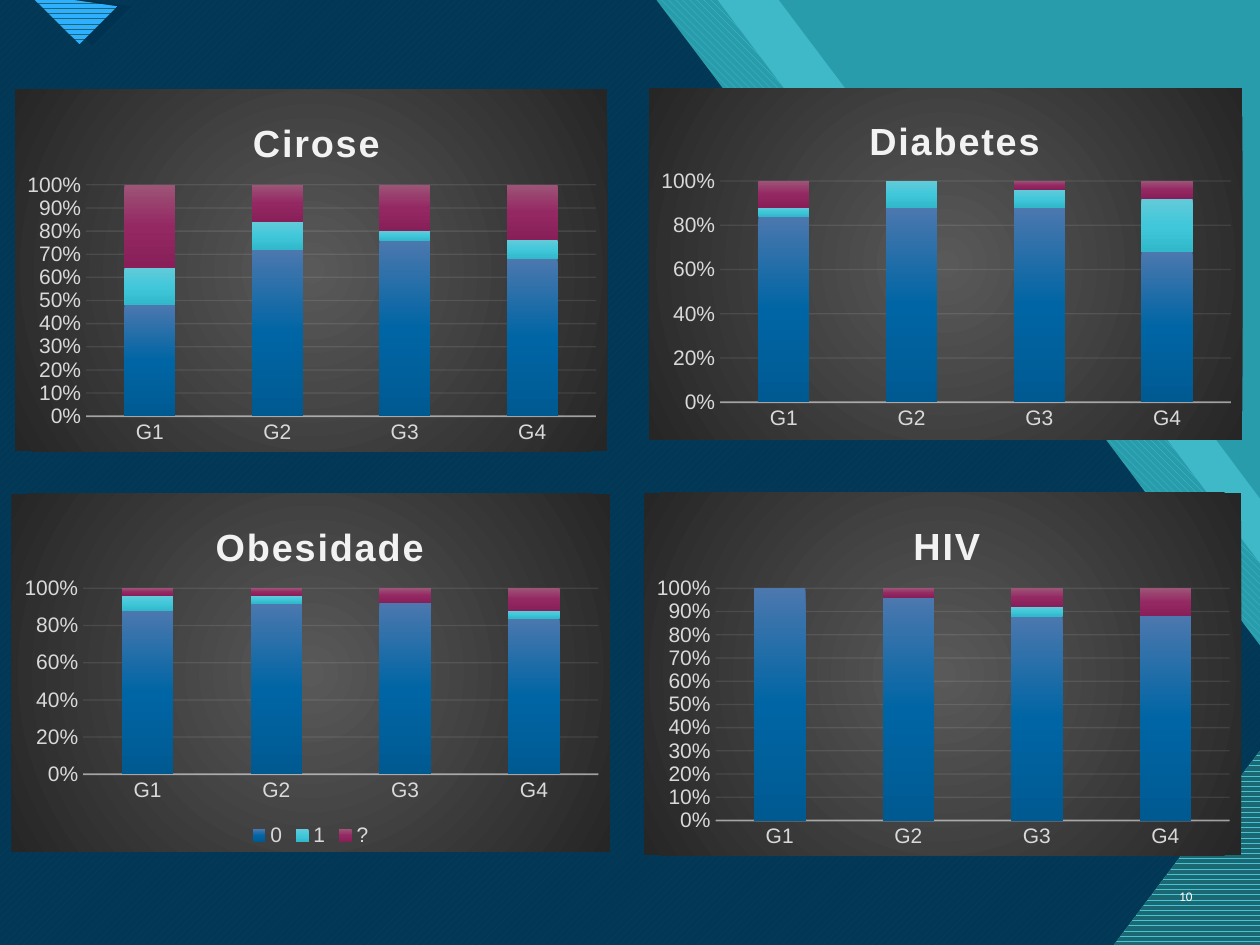
from pptx import Presentation
from pptx.chart.data import CategoryChartData
from pptx.dml.color import RGBColor
from pptx.enum.chart import XL_CHART_TYPE as ChartType, XL_LEGEND_POSITION as LegendPosition
from pptx.enum.chart import XL_TICK_MARK as Tick
from pptx.enum.dml import MSO_PATTERN as Pattern
from pptx.enum.text import MSO_ANCHOR as Anchor, PP_ALIGN as Align
from pptx.oxml import parse_xml
from pptx.oxml.ns import nsdecls
from pptx.util import Pt

# Content
GROUPS = ["G1", "G2", "G3", "G4"]
DEFAULT_NAMES = ["Series 1", "Series 2", "Series 3"]
CHARTS = [
    dict(title="Cirose", box=(8.64, 51.12, 338.4, 206.64), title_left=0.39, plot_height=0.64,
         names=DEFAULT_NAMES, legend=False,
         values=[(48, 72, 76, 68), (16, 12, 4, 8), (36, 16, 20, 24)]),
    dict(title="Diabetes", box=(370.8, 50.4, 339.12, 200.88), title_left=0.36, plot_height=0.63,
         names=DEFAULT_NAMES, legend=False,
         values=[(84, 88, 88, 68), (4, 12, 8, 24), (12, None, 4, 8)]),
    dict(title="Obesidade", box=(6.48, 282.24, 342, 204.48), title_left=0.33, plot_height=0.52,
         names=["0", "1", "?"], legend=True,
         values=[(88, 92, 92, 84), (8, 4, None, 4), (4, 4, 8, 12)]),
    dict(title="HIV", box=(367.92, 281.52, 341.28, 207.36), title_left=0.44, plot_height=0.64,
         names=DEFAULT_NAMES, legend=False,
         values=[(100, 96, 88, 88), (None, None, 4, None), (None, 4, 8, 12)]),
]
PAGE_NUMBER = "10"

THEME = dict(
    teal="299CAB", aqua="47C3D3", deep="1B6872", navy="003352", sky="2FAFFF", white="FFFFFF",
    title="F2F2F2", label="D9D9D9", line="F2F2F2",
    panel=["595959", "262626"],
    bars=[["4B78AE", "0065A4", "005A92"],
          ["63CAD9", "40C8DA", "31B8CA"],
          ["9D5477", "942863", "881F59"]],
    chart_font="Arial", page_font="Calibri",
    title_size=21.6, label_size=12, page_size=7.5,
)

WIDTH, HEIGHT = 720, 540
NOTCH_Y = 214
PLOT_LEFT, PLOT_TOP, PLOT_WIDTH, TITLE_TOP = 0.12, 0.264, 0.861, 0.061


def color(name):
    return RGBColor.from_string(THEME[name])


def set_alpha(root, query, percent):
    for node in root.xpath(query):
        node.append(parse_xml(f'<a:alpha {nsdecls("a")} val="{percent * 1000}"/>'))


def gradient(colors, direction):
    last = len(colors) - 1
    stops = "".join(f'<a:gs pos="{100000 * i // last}"><a:srgbClr val="{c}"/></a:gs>'
                    for i, c in enumerate(colors))
    return f'<a:gradFill {nsdecls("a")}><a:gsLst>{stops}</a:gsLst>{direction}</a:gradFill>'


def place(parent, index, target="", **fractions):
    """Give a chart part a fixed position, as fractions of the chart."""
    for old in parent.xpath("./c:layout"):
        parent.remove(old)
    modes = '<c:xMode val="edge"/><c:yMode val="edge"/>'
    values = "".join(f'<c:{key} val="{value}"/>' for key, value in fractions.items())
    parent.insert(index, parse_xml(
        f'<c:layout {nsdecls("c")}><c:manualLayout>{target}{modes}{values}'
        '</c:manualLayout></c:layout>'))


def polygon(page, points, fore, back=None, pattern=None, alpha=None):
    builder = page.shapes.build_freeform(Pt(points[0][0]), Pt(points[0][1]))
    builder.add_line_segments([(Pt(x), Pt(y)) for x, y in points[1:]], close=True)
    shape = builder.convert_to_shape()
    shape.shadow.inherit = False
    shape.line.fill.background()
    if pattern is None:
        shape.fill.solid()
        shape.fill.fore_color.rgb = color(fore)
    else:
        shape.fill.patterned()
        shape.fill.pattern = pattern
        shape.fill.fore_color.rgb = color(fore)
        shape.fill.back_color.rgb = color(back)
    if alpha:
        set_alpha(shape.element, "./p:spPr/a:solidFill/a:srgbClr", alpha)


def stepped(top_x, notch_x, right_y):
    """Left-hand area whose slanted edge steps right at the notch."""
    return [(0, 0), (top_x, 0), (top_x + 161, NOTCH_Y), (notch_x, NOTCH_Y),
            (WIDTH, right_y), (WIDTH, HEIGHT), (0, HEIGHT)]


def add_background(page):
    page.background.fill.solid()
    page.background.fill.fore_color.rgb = color("teal")
    dark_area = stepped(375, 604, 369)
    polygon(page, stepped(445, 667, 285), "aqua", alpha=74)
    polygon(page, stepped(410, 639, 322), "aqua", "teal", Pattern.WIDE_DOWNWARD_DIAGONAL)
    polygon(page, dark_area, "aqua", "deep", Pattern.WIDE_UPWARD_DIAGONAL)
    polygon(page, dark_area, "navy", alpha=90)
    # Corner marks
    polygon(page, [(26, 0), (52.5, 26), (75, 3.6), (48.6, 0)], "navy")
    polygon(page, [(20, 0), (45.4, 25.2), (67, 3.6), (42, 0)], "sky", "deep",
            Pattern.DARK_HORIZONTAL)
    polygon(page, [(636.5, HEIGHT), (WIDTH, HEIGHT), (WIDTH, 429)], "deep", "aqua",
            Pattern.DARK_HORIZONTAL)


def add_group_chart(page, info):
    data = CategoryChartData()
    data.categories = GROUPS
    for name, values in zip(info["names"], info["values"]):
        data.add_series(name, values)
    frame = page.shapes.add_chart(ChartType.COLUMN_STACKED_100, *map(Pt, info["box"]), data)
    chart = frame.chart
    root = chart.element
    chart.font.name = THEME["chart_font"]
    chart.font.size = Pt(THEME["label_size"])
    chart.font.color.rgb = color("label")

    # Title
    chart.has_title = True
    para = chart.chart_title.text_frame.paragraphs[0]
    para.text = info["title"]
    font = para.runs[0].font
    font.name, font.size, font.bold = THEME["chart_font"], Pt(THEME["title_size"]), True
    font.color.rgb = color("title")
    root.xpath("//c:title//a:r/a:rPr")[0].set("spc", "100")
    place(root.xpath("//c:title")[0], 1, x=info["title_left"], y=TITLE_TOP)
    place(root.xpath("//c:plotArea")[0], 0, '<c:layoutTarget val="inner"/>',
          x=PLOT_LEFT, y=PLOT_TOP, w=PLOT_WIDTH, h=info["plot_height"])

    # Axes
    for axis in (chart.category_axis, chart.value_axis):
        axis.major_tick_mark = axis.minor_tick_mark = Tick.NONE
    value_axis = chart.value_axis
    value_axis.tick_labels.number_format = "0%"
    value_axis.tick_labels.number_format_is_linked = False
    value_axis.format.line.fill.background()
    value_axis.has_major_gridlines = True
    for line, width in ((chart.category_axis.format.line, 1),
                        (value_axis.major_gridlines.format.line, 0.75)):
        line.color.rgb = color("line")
        line.width = Pt(width)
    set_alpha(root, "//c:catAx/c:spPr//a:srgbClr", 54)
    set_alpha(root, "//c:majorGridlines//a:srgbClr", 10)

    # Bars
    plot = chart.plots[0]
    plot.gap_width, plot.overlap, plot.vary_by_categories = 150, 100, False
    for series in plot.series:
        series.invert_if_negative = False
        series.format.fill.solid()
        series.format.fill.fore_color.rgb = color("white")
    for fill, colors in zip(root.xpath("//c:ser/c:spPr/a:solidFill"), THEME["bars"]):
        bar_fill = parse_xml(gradient(colors, '<a:lin ang="5400000" scaled="0"/>'))
        fill.getparent().replace(fill, bar_fill)

    # Legend
    chart.has_legend = info["legend"]
    if info["legend"]:
        chart.legend.position = LegendPosition.BOTTOM
        chart.legend.include_in_layout = False

    # Panel behind the chart
    center = '<a:path path="circle"><a:fillToRect l="50000" t="50000" r="50000" b="50000"/></a:path>'
    panel = parse_xml(f'<c:spPr {nsdecls("c", "a")}>{gradient(THEME["panel"], center)}'
                      '<a:ln><a:noFill/></a:ln></c:spPr>')
    root.xpath("./c:chart")[0].addnext(panel)


def add_page_number(page):
    box = page.shapes.add_textbox(Pt(664.5), Pt(497.5), Pt(24), Pt(29))
    frame = box.text_frame
    frame.word_wrap = True
    frame.vertical_anchor = Anchor.MIDDLE
    frame.text = PAGE_NUMBER
    para = frame.paragraphs[0]
    para.alignment = Align.RIGHT
    font = para.runs[0].font
    font.name, font.size = THEME["page_font"], Pt(THEME["page_size"])
    font.color.rgb = color("white")


def main():
    deck = Presentation()
    deck.slide_width, deck.slide_height = Pt(WIDTH), Pt(HEIGHT)
    page = deck.slides.add_slide(deck.slide_layouts[6])
    add_background(page)
    add_page_number(page)
    for info in CHARTS:
        add_group_chart(page, info)
    deck.save("out.pptx")


if __name__ == "__main__":
    main()
